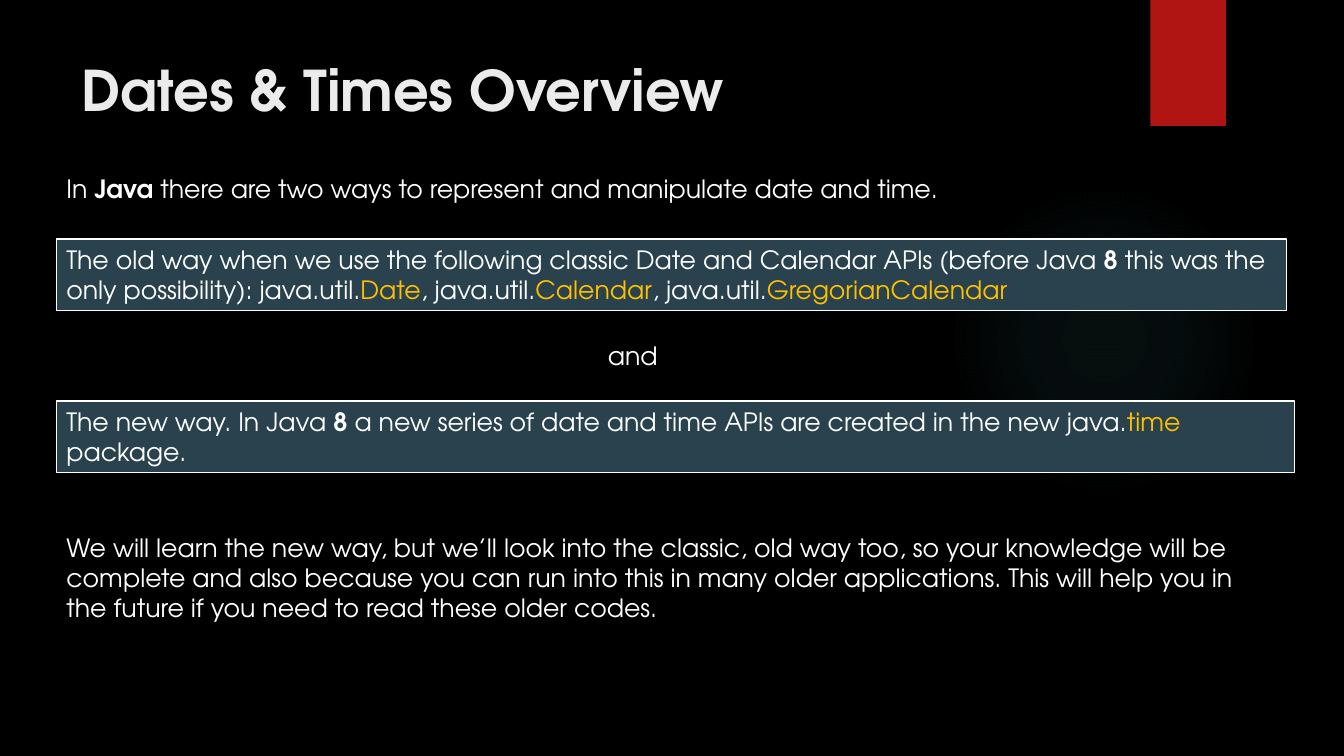
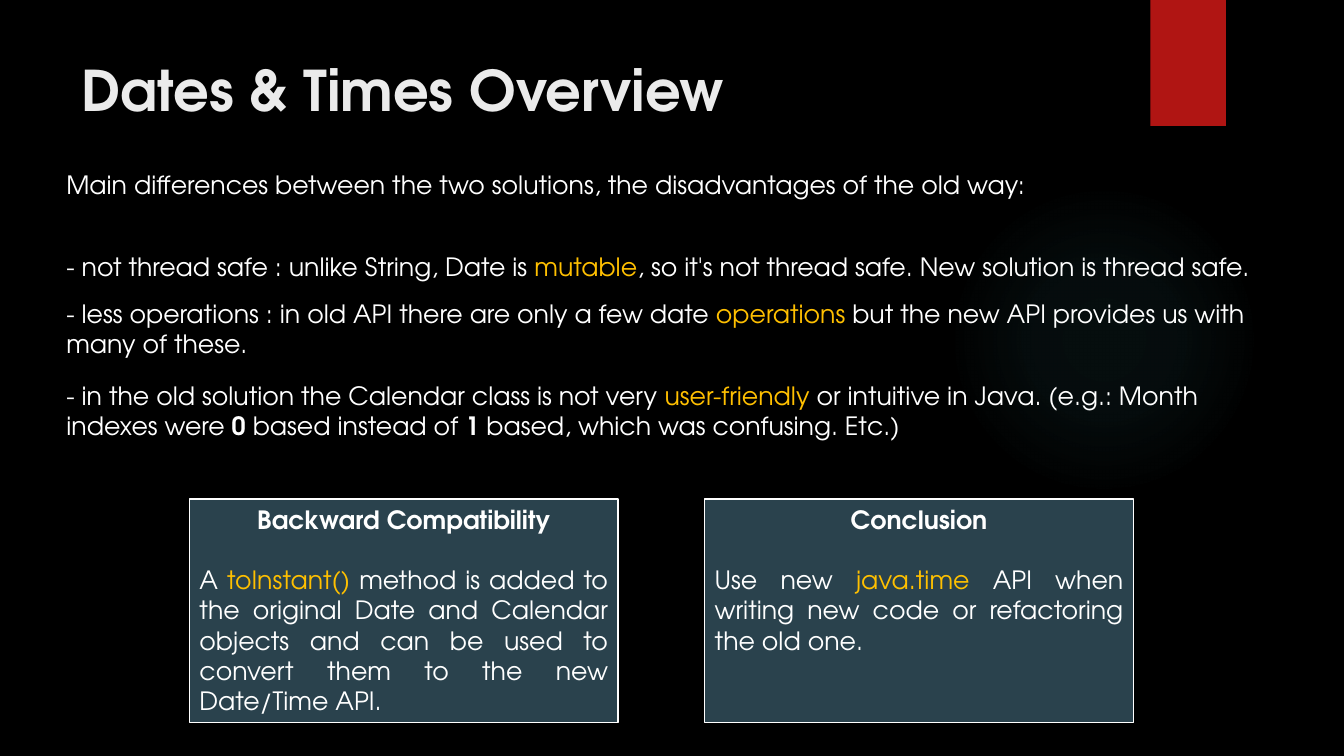
from lxml import etree
from pptx import Presentation
from pptx.dml.color import RGBColor
from pptx.enum.shapes import MSO_SHAPE as SHAPE
from pptx.enum.text import MSO_ANCHOR as ANCHOR, PP_ALIGN as ALIGN
from pptx.oxml import parse_xml
from pptx.oxml.ns import nsdecls, qn
from pptx.util import Inches, Pt

FONT = "TeX Gyre Adventor"
COLORS = {
    "background": "000000",
    "glow": "50B9C1",
    "ribbon": "B01513",
    "title": "EBEBEB",
    "text": "FFFFFF",
    "accent": "FFC000",
    "panel": "2A424D",
}
BODY_SIZE = 18
LINE_HEIGHT = 21.6
LEFT = 0.56


def rgb(name):
    return RGBColor.from_string(COLORS[name])


def accent(text):
    return text, "accent", False


def bold(text):
    return text, "text", True


def add_runs(p, runs, size=BODY_SIZE):
    """Add plain strings or (text, colour, bold) tuples to a paragraph."""
    for run in runs:
        text, color, is_bold = (run, "text", False) if isinstance(run, str) else run
        r = p.add_run()
        r.text = text
        r.font.name = FONT
        r.font.size = Pt(size)
        r.font.bold = is_bold
        r.font.color.rgb = rgb(color)


def add_text(s, left, top, width, height, runs, size=BODY_SIZE):
    box = s.shapes.add_textbox(*map(Inches, (left, top, width, height)))
    tf = box.text_frame
    tf.word_wrap = True
    add_runs(tf.paragraphs[0], runs, size)


def add_plain_shape(s, kind, left, top, width, height, fill):
    sp = s.shapes.add_shape(kind, *map(Inches, (left, top, width, height)))
    sp.shadow.inherit = False
    sp.fill.solid()
    sp.fill.fore_color.rgb = rgb(fill)
    sp.line.fill.background()
    return sp


def add_panel(s, left, top, width, height, runs, heading=None):
    """Add an outlined box, with a centred heading over justified text if given."""
    sp = add_plain_shape(s, SHAPE.RECTANGLE, left, top, width, height, "panel")
    sp.line.color.rgb = rgb("text")
    sp.line.width = Pt(1)
    tf = sp.text_frame
    tf.word_wrap = True
    tf.vertical_anchor = ANCHOR.TOP
    p = tf.paragraphs[0]
    p.alignment = ALIGN.LEFT
    if heading:
        p.alignment = ALIGN.CENTER
        add_runs(p, [bold(heading)])
        p = tf.add_paragraph()
        p.alignment = ALIGN.JUSTIFY
        p.space_before = Pt(LINE_HEIGHT)
    add_runs(p, runs)


def add_glow(s):
    sp = add_plain_shape(s, SHAPE.OVAL, 9.41, 1.83, 3.08, 3.08, "glow")
    grad = parse_xml(f'<a:gradFill {nsdecls("a")} rotWithShape="1"><a:gsLst/>'
                     '<a:path path="circle"><a:fillToRect l="50000" t="50000" '
                     'r="50000" b="50000"/></a:path></a:gradFill>')
    for position, opacity in ((0, 7), (36, 6), (69, 0)):
        stop = etree.SubElement(grad[0], qn("a:gs"), pos=str(position * 1000))
        color = etree.SubElement(stop, qn("a:srgbClr"), val=COLORS["glow"])
        etree.SubElement(color, qn("a:alpha"), val=str(opacity * 1000))
    solid = sp.element.spPr.find(qn("a:solidFill"))
    solid.getparent().replace(solid, grad)


def add_slide(prs, title):
    s = prs.slides.add_slide(prs.slide_layouts[6])
    s.background.fill.solid()
    s.background.fill.fore_color.rgb = rgb("background")
    add_glow(s)
    add_plain_shape(s, SHAPE.RECTANGLE, 11.41, 0, 0.75, 1.25, "ribbon")
    add_text(s, 0.71, 0.5, 10.76, 0.88, [(title, "title", True)], 40)
    return s


def build_two_ways(prs):
    s = add_slide(prs, "Dates & Times Overview")
    add_text(s, LEFT, 1.67, 12.2, 0.4, [
        "In ", bold("Java "),
        "there are two ways to represent and manipulate date and time."])
    add_panel(s, LEFT, 2.37, 12.2, 0.71, [
        "The old way when we use the following classic Date and Calendar APIs "
        "(before Java ", bold("8 "), "this was the only possibility): java.util.",
        accent("Date"), ", java.util.", accent("Calendar"),
        ", java.util.", accent("GregorianCalendar")])
    add_text(s, 5.93, 3.33, 0.79, 0.4, ["and"])
    add_panel(s, LEFT, 3.98, 12.28, 0.71, [
        "The new way. In Java ", bold("8 "),
        "a new series of date and time APIs are created in the new java.",
        accent("time"), " package."])
    add_text(s, LEFT, 5.23, 12.2, 1.01, [
        "We will learn the new way, but we’ll look into the classic, old way too, "
        "so your knowledge will be complete and also because you can run into this "
        "in many older applications. This will help you in the future if you need "
        "to read these older codes."])


def build_differences(prs):
    s = add_slide(prs, "Dates & Times Overview")
    add_text(s, LEFT, 1.63, 12.34, 0.4, [
        "Main differences between the two solutions, the disadvantages of the old way:"])
    add_text(s, LEFT, 2.44, 12.36, 0.4, [
        "- not thread safe : unlike String, Date is ", accent("mutable"),
        ", so it's not thread safe. New solution is thread safe."])
    add_text(s, LEFT, 2.91, 12.36, 0.71, [
        "- less operations : in old API there are only a few date ",
        accent("operations"), " but the new API provides us with many of these."])
    add_text(s, LEFT, 3.72, 11.71, 0.71, [
        "- in the old solution the Calendar class is not very ",
        accent("user-friendly"), " or intuitive in Java. (e.g.: Month indexes were ",
        bold("0"), " based instead of ", bold("1"),
        " based, which was confusing. Etc.)"])
    panels = (
        ("Backward Compatibility", [
            "A ", accent("toInstant() "),
            "method is added to the original Date and Calendar objects and can be "
            "used to convert them to the new Date/Time API."]),
        ("Conclusion", [
            "Use new ", accent("java.time"),
            " API when writing new code or refactoring the old one."]),
    )
    width, gap = 4.25, 0.86
    for i, (heading, runs) in enumerate(panels):
        add_panel(s, 1.88 + i * (width + gap), 4.95, width, 2.22, runs, heading)


def main():
    prs = Presentation()
    prs.slide_width, prs.slide_height = Inches(13.33), Inches(7.5)
    build_two_ways(prs)
    build_differences(prs)
    prs.save("out.pptx")


if __name__ == "__main__":
    main()
